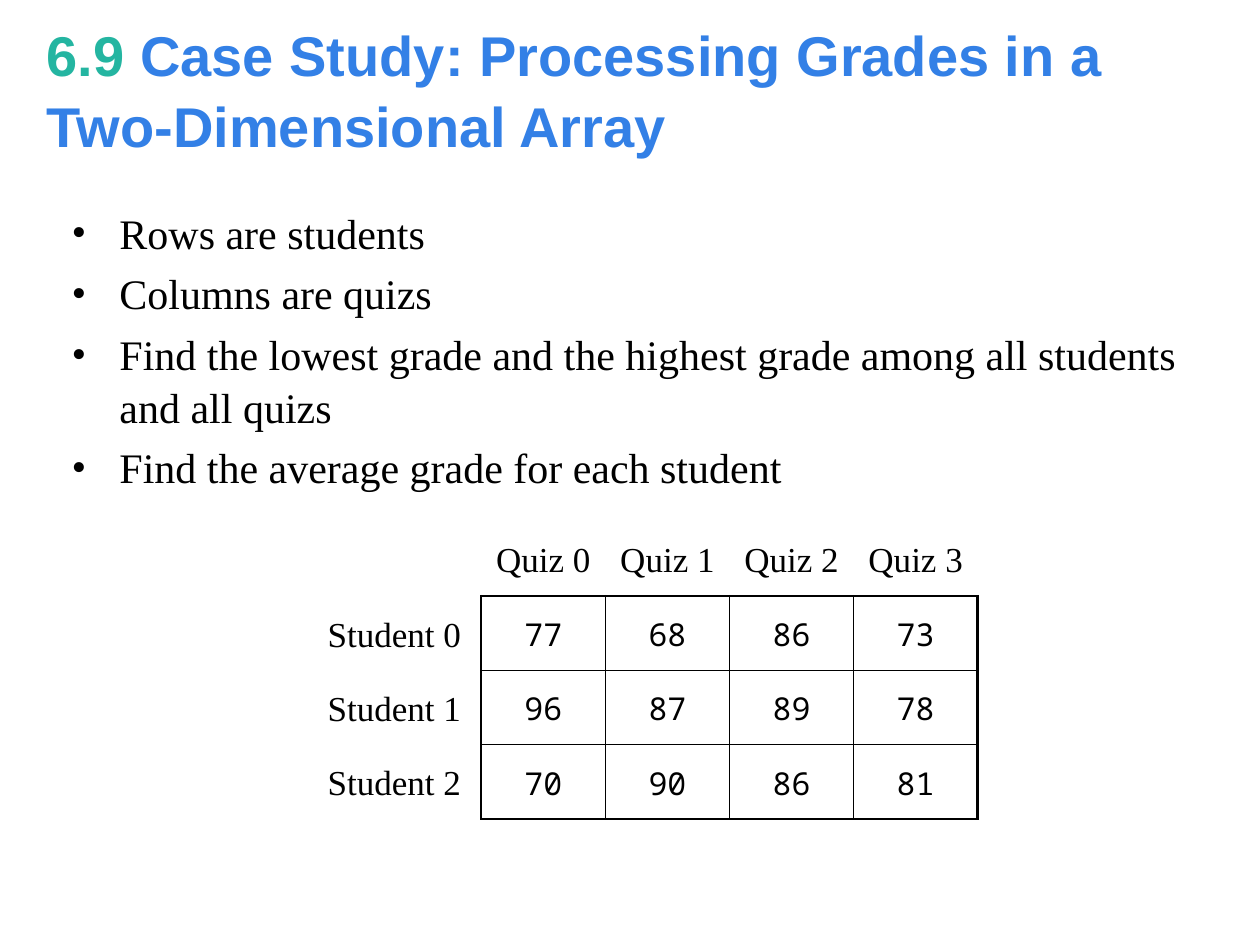
from lxml import etree
from pptx import Presentation
from pptx.dml.color import RGBColor
from pptx.enum.text import MSO_ANCHOR, PP_ALIGN
from pptx.oxml.ns import qn
from pptx.util import Inches, Pt

BLACK, TEAL, BLUE = "000000", "24B5A1", "3380E6"
SERIF, SANS, MONO = "Times New Roman", "Arial", "Noto Sans Mono"
TABLE_LEFT, TABLE_TOP = 3.82, 4.73
COLUMN_WIDTH, ROW_HEIGHT = 0.985, 0.59
STUDENT_WIDTH = 1.38

TOPICS = [
    "Rows are students",
    "Columns are quizs",
    "Find the lowest grade and the highest grade among all students and all quizs",
    "Find the average grade for each student",
]
GRADES = [[77, 68, 86, 73], [96, 87, 89, 78], [70, 90, 86, 81]]


def color(value):
    return RGBColor.from_string(value)


def add_text(para, text, size=20, font=SERIF, fill=BLACK, bold=False, align=None):
    span = para.add_run()
    span.text = text
    span.font.size = Pt(size)
    span.font.name = font
    span.font.bold = bold
    span.font.color.rgb = color(fill)
    if align is not None:
        para.alignment = align


def place(shape, left, top, width, height):
    shape.left, shape.top = Inches(left), Inches(top)
    shape.width, shape.height = Inches(width), Inches(height)


def add_title(page, *bounds):
    title = page.shapes.title
    place(title, *bounds)
    frame = title.text_frame
    frame.word_wrap = True
    frame.vertical_anchor = MSO_ANCHOR.MIDDLE
    para = frame.paragraphs[0]
    para.line_spacing = 1.05
    for text, fill in (
        ("6.9 ", TEAL),
        ("Case Study: Processing Grades in a Two-Dimensional Array", BLUE),
    ):
        add_text(para, text, size=32, font=SANS, fill=fill, bold=True, align=PP_ALIGN.LEFT)


def add_bullet(para, indent):
    properties = para._p.get_or_add_pPr()
    properties.set("marL", str(Inches(indent)))
    properties.set("indent", str(Inches(-indent)))
    etree.SubElement(properties, qn("a:buFont"), typeface=SERIF)
    etree.SubElement(properties, qn("a:buChar"), char="•")


def add_topics(page, *bounds):
    box = page.shapes.add_textbox(*map(Inches, bounds))
    frame = box.text_frame
    frame.word_wrap = True
    for index, topic in enumerate(TOPICS):
        para = frame.add_paragraph() if index else frame.paragraphs[0]
        add_bullet(para, 0.38)
        para.line_spacing = 1.04
        para.space_before = Pt(4.8 if index else 0)
        add_text(para, topic, size=24)


def add_label(page, text, *bounds):
    box = page.shapes.add_textbox(*map(Inches, bounds))
    frame = box.text_frame
    frame.word_wrap = False
    frame.vertical_anchor = MSO_ANCHOR.MIDDLE
    add_text(frame.paragraphs[0], text, align=PP_ALIGN.CENTER)


def add_borders(cell, widths):
    """Draw black lines on a cell, given a width in points for each side."""
    properties = cell._tc.get_or_add_tcPr()
    for index, (side, width) in enumerate(widths.items()):
        line = etree.Element(qn(f"a:ln{side}"), w=str(Pt(width)))
        fill = etree.SubElement(line, qn("a:solidFill"))
        etree.SubElement(fill, qn("a:srgbClr"), val=BLACK)
        properties.insert(index, line)


def add_grades(page, left, top, column_width, row_height):
    rows, columns = len(GRADES), len(GRADES[0])
    bounds = (left, top, columns * column_width, rows * row_height)
    table = page.shapes.add_table(rows, columns, *map(Inches, bounds)).table
    table.first_row = table.horz_banding = False
    for column in table.columns:
        column.width = Inches(column_width)
    for r, grades in enumerate(GRADES):
        table.rows[r].height = Inches(row_height)
        for c, grade in enumerate(grades):
            cell = table.cell(r, c)
            cell.fill.background()
            cell.vertical_anchor = MSO_ANCHOR.MIDDLE
            cell.margin_top, cell.margin_bottom = Inches(0.06), Inches(0.04)
            add_text(cell.text_frame.paragraphs[0], str(grade), size=18, font=MONO,
                     align=PP_ALIGN.CENTER)
            outer = {"L": c == 0, "R": c == columns - 1, "T": r == 0, "B": r == rows - 1}
            add_borders(cell, {side: 1.5 if edge else 1 for side, edge in outer.items()})


def add_grade_labels(page, left, top, column_width, row_height):
    for r in range(len(GRADES)):
        add_label(page, f"Student {r}", left - STUDENT_WIDTH, top + r * row_height,
                  STUDENT_WIDTH, row_height)
    for c in range(len(GRADES[0])):
        add_label(page, f"Quiz {c}", left + c * column_width, top - row_height,
                  column_width, row_height)


def main():
    deck = Presentation()
    deck.slide_width, deck.slide_height = Inches(10), Inches(7.5)
    page = deck.slides.add_slide(deck.slide_layouts[5])
    add_title(page, 0.27, 0.21, 9.45, 0.98)
    add_topics(page, 0.47, 1.58, 9.06, 2.36)
    grid = (TABLE_LEFT, TABLE_TOP, COLUMN_WIDTH, ROW_HEIGHT)
    add_grades(page, *grid)
    add_grade_labels(page, *grid)
    deck.save("out.pptx")


if __name__ == "__main__":
    main()
